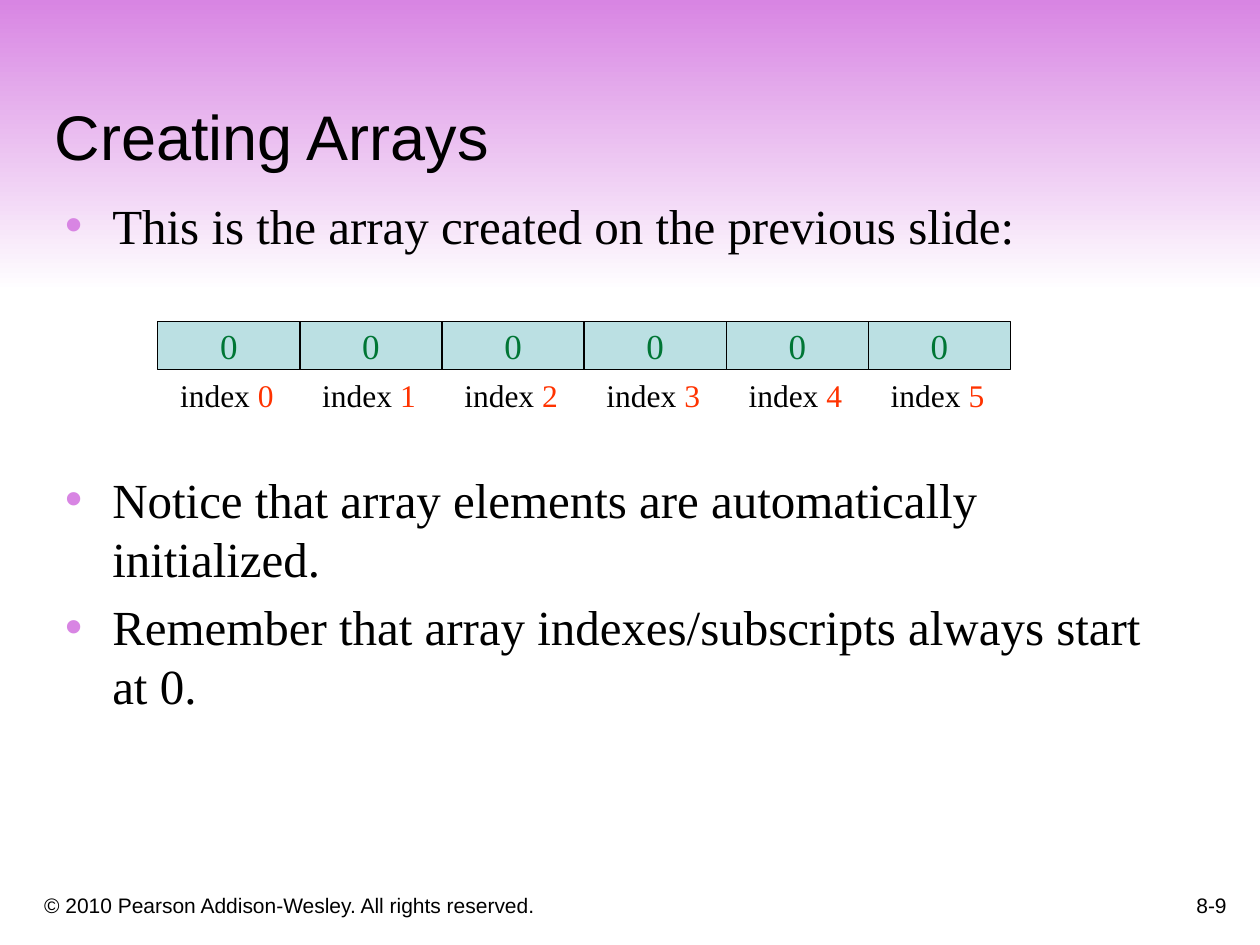
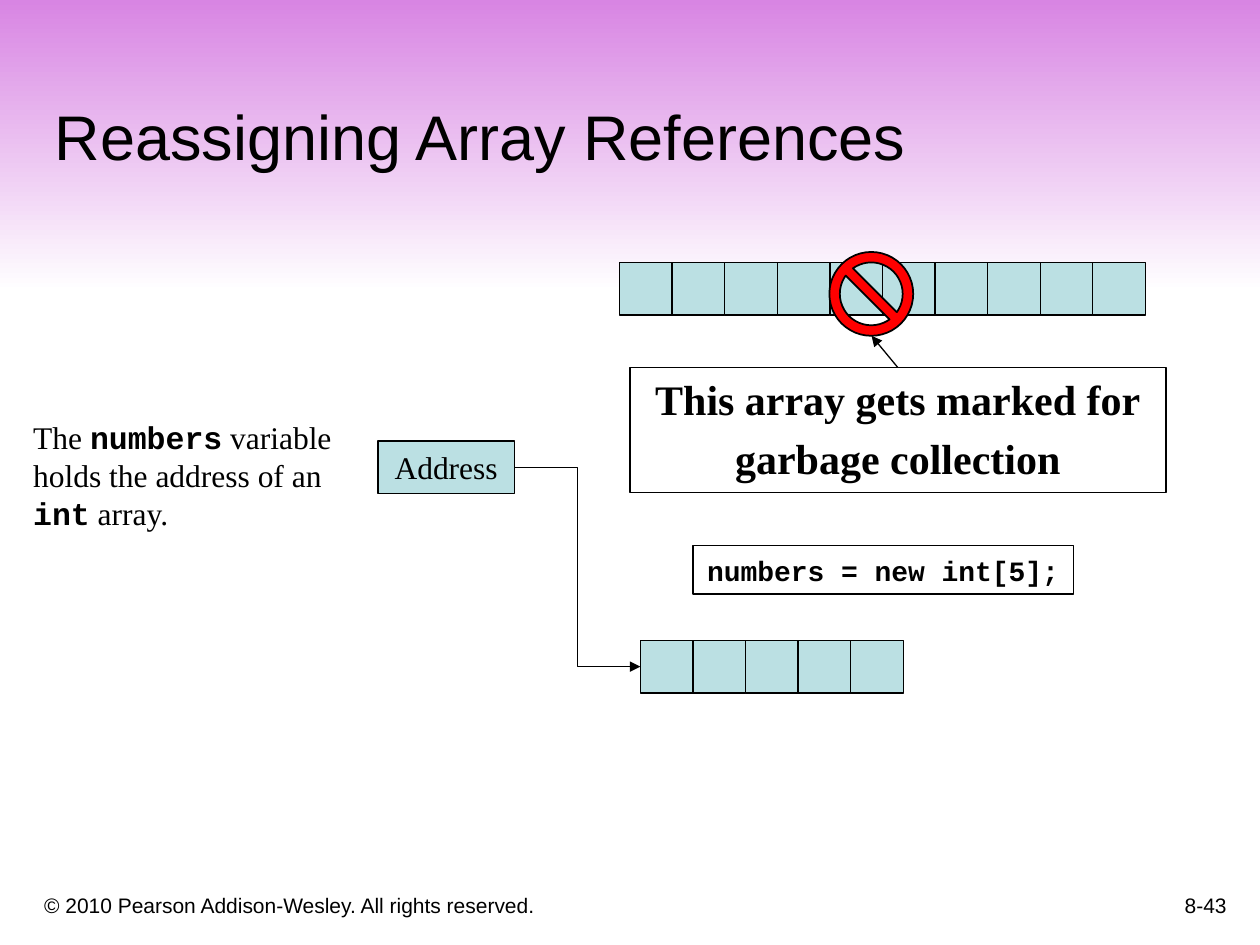
from lxml import etree
from pptx import Presentation
from pptx import util as u
from pptx.dml import color
from pptx.enum import shapes, text
from pptx.oxml import ns

BLACK = color.RGBColor(0x00, 0x00, 0x00)
WHITE = color.RGBColor(0xFF, 0xFF, 0xFF)
ORCHID = color.RGBColor(0xD8, 0x85, 0xE3)
PALE_TEAL = color.RGBColor(0xBB, 0xE0, 0xE3)
GREEN = color.RGBColor(0x00, 0x76, 0x35)
ORANGE = color.RGBColor(0xFF, 0x33, 0x00)
RED = color.RGBColor(0xFF, 0x00, 0x00)

TITLE = {"name": "Arial", "size": u.Pt(36), "color": BLACK}
SMALL = {"name": "Arial", "size": u.Pt(12), "color": BLACK}
BODY = {"name": "Times New Roman", "size": u.Pt(28), "color": BLACK}
LABEL = {**BODY, "size": u.Pt(18)}
VALUE = {**BODY, "size": u.Pt(20), "color": GREEN}
CALLOUT = {**BODY, "size": u.Pt(24), "bold": True}
CODE = {"name": "Courier New", "size": u.Pt(16), "color": BLACK, "bold": True}
KEYWORD = {"name": "Courier New", "bold": True}

LEFT, CENTER, RIGHT = text.PP_ALIGN.LEFT, text.PP_ALIGN.CENTER, text.PP_ALIGN.RIGHT
TOP, MIDDLE, BOTTOM = text.MSO_ANCHOR.TOP, text.MSO_ANCHOR.MIDDLE, text.MSO_ANCHOR.BOTTOM
FIT, FIXED = text.MSO_AUTO_SIZE.SHAPE_TO_FIT_TEXT, text.MSO_AUTO_SIZE.NONE
RECTANGLE = shapes.MSO_SHAPE.RECTANGLE


def write(shape, lines, font, alignment=LEFT, gap=0, **frame_format):
    frame = shape.text_frame
    settings = {"word_wrap": True, "auto_size": FIXED, "vertical_anchor": TOP, **frame_format}
    for name, value in settings.items():
        setattr(frame, name, value)
    for number, line in enumerate(lines):
        paragraph = frame.add_paragraph() if number else frame.paragraphs[0]
        paragraph.alignment = alignment
        paragraph.space_before = u.Pt(gap if number else 0)
        for words, changes in line:
            run = paragraph.add_run()
            run.text = words
            for name, value in {**font, **changes}.items():
                if name == "color":
                    run.font.color.rgb = value
                else:
                    setattr(run.font, name, value)


def add_box(collection, kind, frame, fill=None, line_width=0.75):
    shape = collection.add_shape(kind, *map(u.Cm, frame))
    shape.shadow.inherit = False
    if fill is None:
        shape.fill.background()
    else:
        shape.fill.solid()
        shape.fill.fore_color.rgb = fill
    shape.line.color.rgb = BLACK
    shape.line.width = u.Pt(line_width)
    return shape


presentation = Presentation()
presentation.slide_width = u.Cm(25.4)
presentation.slide_height = u.Cm(19.05)

slides = []
for layout, title, page in ((1, "Creating Arrays", "8-9"), (5, "Reassigning Array References", "8-43")):
    slide = presentation.slides.add_slide(presentation.slide_layouts[layout])
    heading = slide.shapes.title
    heading.left, heading.top, heading.width, heading.height = map(u.Cm, (0.85, 0.85, 23.92, 2.76))
    write(heading, [[(title, {})]], TITLE, vertical_anchor=BOTTOM)
    page_number = slide.shapes.add_textbox(*map(u.Cm, (19.69, 17.36, 5.29, 1.27)))
    write(page_number, [[(page, {})]], SMALL, RIGHT, vertical_anchor=BOTTOM)
    slides.append(slide)
creating, reassigning = slides

band = add_box(creating.shapes, RECTANGLE, (0, 0, 25.4, 5.89), WHITE)
band.line.fill.background()
band.fill.gradient()
band.fill.gradient_angle = 270
for stop, tint, position in zip(band.fill.gradient_stops, (ORCHID, WHITE), (0, 1)):
    stop.color.rgb = tint
    stop.position = position
copyright_line = creating.shapes.add_textbox(*map(u.Cm, (0.64, 17.57, 15.45, 1.06)))
write(copyright_line, [[("© 2010 Pearson Addison-Wesley. All rights reserved.", {})]],
      SMALL, vertical_anchor=BOTTOM)
master_tree = presentation.slide_master.shapes._spTree
for position, shape in enumerate((band, copyright_line), 2):
    master_tree.insert(position, shape._element)

body = creating.placeholders[1]
body.left, body.top, body.width, body.height = map(u.Cm, (1.06, 3.81, 22.86, 12.91))
bullets = ["This is the array created on the previous slide:",
           "Notice that array elements are automatically initialized.",
           "Remember that array indexes/subscripts always start at 0."]
write(body, [[(bullet, {})] for bullet in bullets], BODY, gap=5.6, margin_right=0)
body.text_frame.paragraphs[1].space_before = u.Pt(123)
for paragraph in body.text_frame.paragraphs:
    properties = paragraph._p.get_or_add_pPr()
    properties.set("marL", str(u.Cm(0.95)))
    properties.set("indent", str(-u.Cm(0.95)))
    bullet_color = etree.SubElement(properties, ns.qn("a:buClr"))
    etree.SubElement(bullet_color, ns.qn("a:srgbClr"), val=str(ORCHID))
    etree.SubElement(properties, ns.qn("a:buChar"), char="•")

for index in range(6):
    left = 3.18 + 2.865 * index
    cell = add_box(creating.shapes, RECTANGLE, (left, 6.48, 2.865, 0.97), PALE_TEAL)
    write(cell, [[("0", {})]], VALUE, CENTER, vertical_anchor=MIDDLE, word_wrap=False)
    label = creating.shapes.add_textbox(*map(u.Cm, (left + 0.2, 7.45, 2.39, 1.02)))
    write(label, [[("index ", {}), (str(index), {"color": ORANGE})]], LABEL, CENTER,
          word_wrap=False, auto_size=FIT)

CELL = 1.06
first_cells = []
for left, top, count in ((12.49, 5.29, 10), (12.91, 12.91, 5)):
    array = reassigning.shapes.add_group_shape()
    cells = [add_box(array.shapes, RECTANGLE, (left + CELL * number, top, CELL, CELL), PALE_TEAL)
             for number in range(count)]
    first_cells.append(cells[0])

address = add_box(reassigning.shapes, RECTANGLE, (7.62, 8.89, 2.75, CELL), PALE_TEAL)
write(address, [[("Address", {})]], LABEL, CENTER, vertical_anchor=MIDDLE, word_wrap=False)

explanation = reassigning.shapes.add_textbox(*map(u.Cm, (0.42, 8.31, 6.53, 2.54)))
write(explanation, [[("The ", {}), ("numbers", KEYWORD), (" variable", {})],
                    [("holds the address of an", {})],
                    [("int", KEYWORD), (" array.", {})]],
      LABEL, word_wrap=False, auto_size=FIT)

statement = add_box(reassigning.shapes, RECTANGLE, (13.97, 11, 7.67, 0.98), line_width=1)
write(statement, [[("numbers = new int[5];", {})]], CODE, CENTER,
      vertical_anchor=MIDDLE, word_wrap=False)

callout = add_box(reassigning.shapes, RECTANGLE, (12.7, 7.41, 10.8, 2.52), line_width=1)
write(callout, [[("This array gets marked for", {})], [("garbage collection", {})]],
      CALLOUT, CENTER, gap=4.8)

no_sign = add_box(reassigning.shapes, shapes.MSO_SHAPE.NO_SYMBOL, (16.72, 5.08, 1.69, 1.69), RED, 1)
no_sign.adjustments[0] = 0.125

reference = reassigning.shapes.add_connector(shapes.MSO_CONNECTOR.ELBOW, 0, 0, 0, 0)
reference.begin_connect(address, 3)
reference.end_connect(first_cells[1], 1)
pointer = reassigning.shapes.add_connector(
    shapes.MSO_CONNECTOR.STRAIGHT, *map(u.Cm, (18.1, 7.41, 17.57, 6.77)))
pointer.begin_connect(callout, 0)
for connector in (reference, pointer):
    connector.line.color.rgb = BLACK
    connector.line.width = u.Pt(0.75)
    properties = connector._element.spPr
    etree.SubElement(properties.find(ns.qn("a:ln")), ns.qn("a:tailEnd"), type="triangle")
    etree.SubElement(properties, ns.qn("a:effectLst"))

presentation.save("out.pptx")
